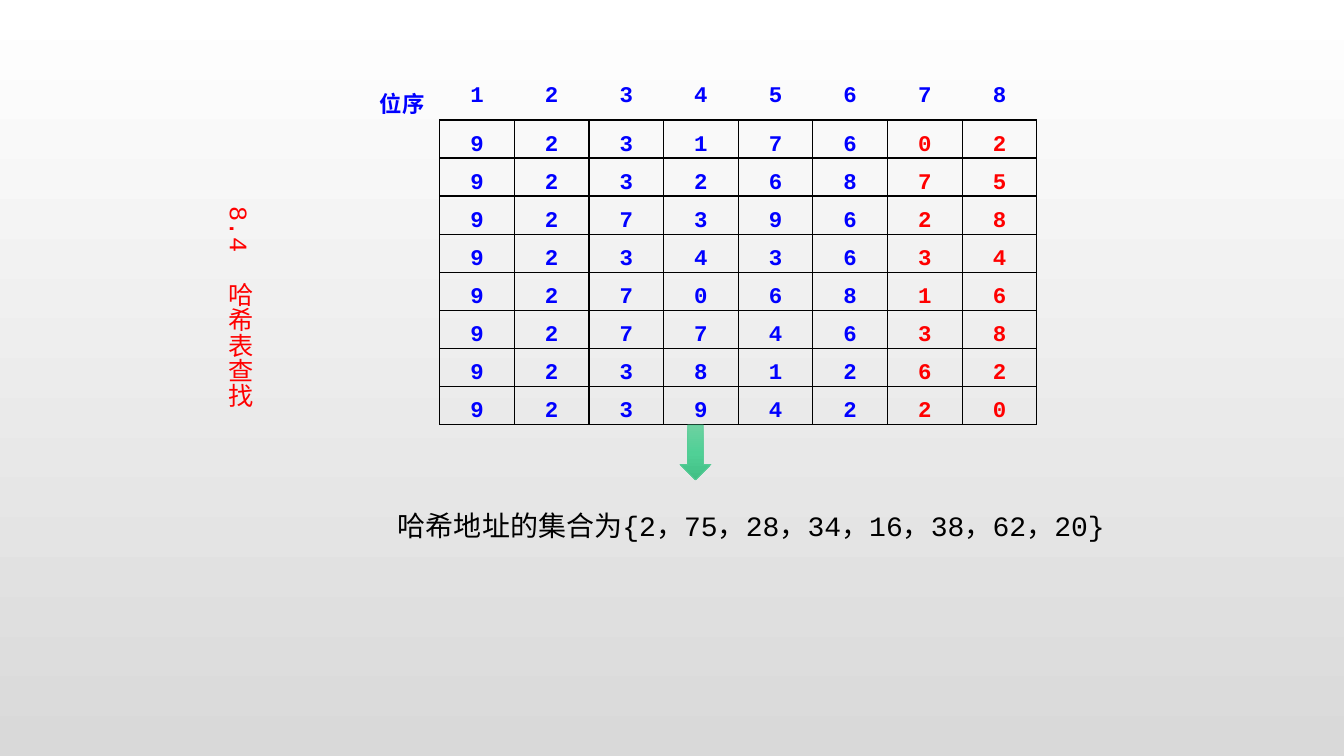
"""Build the hash address slide: key table, arrow, result and side label."""
import copy

import pptx
import pptx.chart.data
import pptx.dml.color
import pptx.enum.shapes
import pptx.enum.text
import pptx.oxml
import pptx.oxml.ns
import pptx.util

SIZE = (1344, 756)
HEAD = ["位序", "1", "2", "3", "4", "5", "6", "7", "8"]
KEYS = ["92317602", "92326875", "92739628", "92343634",
        "92706816", "92774638", "92381262", "92394220"]
RESULT = "哈希地址的集合为{2，75，28，34，16，38，62，20}"
LABEL = "8.4  哈希表查找"

TABLE = (365, 71, 672, 353)
HEAD_H, ROW_H = 49, 38
ARROW = (680, 425, 31, 55)
RESULT_BOX = (388, 504, 740, 44)
LABEL_BOX = (210, 197, 50, 307)

MONO, HAN = "Courier New", "Noto Sans CJK SC"
BLUE, RED, BLACK = "0000FF", "FF0000", "000000"
BACK = [(0, "FFFFFF"), (1, "D9D9D9")]
GREEN = [(0, "6DD1A1"), (0.5, "50D096"), (1, "41BF85")]
EDGE = "56CA95"
CENTER = pptx.enum.text.PP_ALIGN.CENTER


def px(n):
    return pptx.util.Emu(round(n * 914400 / 100.8))


def rgb(code):
    return pptx.dml.color.RGBColor.from_string(code)


def style(para, size, name, color, bold=False):
    font = para.font
    font.size, font.name, font.bold = pptx.util.Pt(size), name, bold
    font.color.rgb = rgb(color)


def grade(fill, root, stops):
    fill.gradient()
    fill.gradient_angle = 270
    items = root.xpath(".//a:gsLst")[0]
    for _ in range(len(stops) - len(items)):
        items.append(copy.deepcopy(items[-1]))
    for stop, (pos, color) in zip(fill.gradient_stops, stops):
        stop.position = pos
        stop.color.rgb = rgb(color)


def border(cell, sides):
    props = cell._tc.get_or_add_tcPr()
    for side in "LRTB":
        paint = (f'<a:solidFill><a:srgbClr val="{BLACK}"/></a:solidFill>'
                 if side in sides else "<a:noFill/>")
        props.append(pptx.oxml.parse_xml(
            f'<a:ln{side} {pptx.oxml.ns.nsdecls("a")} w="12700">{paint}</a:ln{side}>'))


def fill_cell(cell, row, col, text):
    cell.margin_left = cell.margin_right = px(7)
    cell.margin_top = cell.margin_bottom = 0
    if row and col:
        border(cell, "LRTB")
    else:
        border(cell, "R" if row else "B" if col else "")
    cell.fill.background()
    if text:
        cell.text = text
        para = cell.text_frame.paragraphs[0]
        para.alignment, para.line_spacing = CENTER, 1.5
        style(para, 16, MONO if col else HAN,
              RED if row and col > 6 else BLUE, True)


def add_keys(slide):
    rows = [HEAD] + [["", *key] for key in KEYS]
    table = slide.shapes.add_table(len(rows), len(HEAD), *map(px, TABLE)).table
    table.first_row = table.horz_banding = False
    for r, row in enumerate(rows):
        table.rows[r].height = px(ROW_H if r else HEAD_H)
        for c, text in enumerate(row):
            fill_cell(table.cell(r, c), r, c, text)


def add_text(slide, box, text, size, color):
    frame = slide.shapes.add_textbox(*map(px, box)).text_frame
    frame.word_wrap = True
    frame.auto_size = pptx.enum.text.MSO_AUTO_SIZE.SHAPE_TO_FIT_TEXT
    frame.text = text
    style(frame.paragraphs[0], size, MONO, color)
    return frame


def add_arrow(slide):
    arrow = slide.shapes.add_shape(
        pptx.enum.shapes.MSO_SHAPE.DOWN_ARROW, *map(px, ARROW))
    arrow.shadow.inherit = False
    grade(arrow.fill, arrow._element, GREEN)
    arrow.line.color.rgb = rgb(EDGE)
    arrow.line.width = pptx.util.Pt(0.5)


def main():
    deck = pptx.Presentation()
    deck.slide_width, deck.slide_height = map(px, SIZE)
    slide = deck.slides.add_slide(deck.slide_layouts.get_by_name("Blank"))
    grade(slide.background.fill, slide._element, BACK)
    add_keys(slide)
    add_text(slide, RESULT_BOX, RESULT, 20, BLACK)
    add_arrow(slide)
    label = add_text(slide, LABEL_BOX, LABEL, 18, RED)
    label.paragraphs[0].alignment = CENTER
    label._txBody.bodyPr.set("vert", "eaVert")
    deck.save("out.pptx")


if __name__ == "__main__":
    main()
